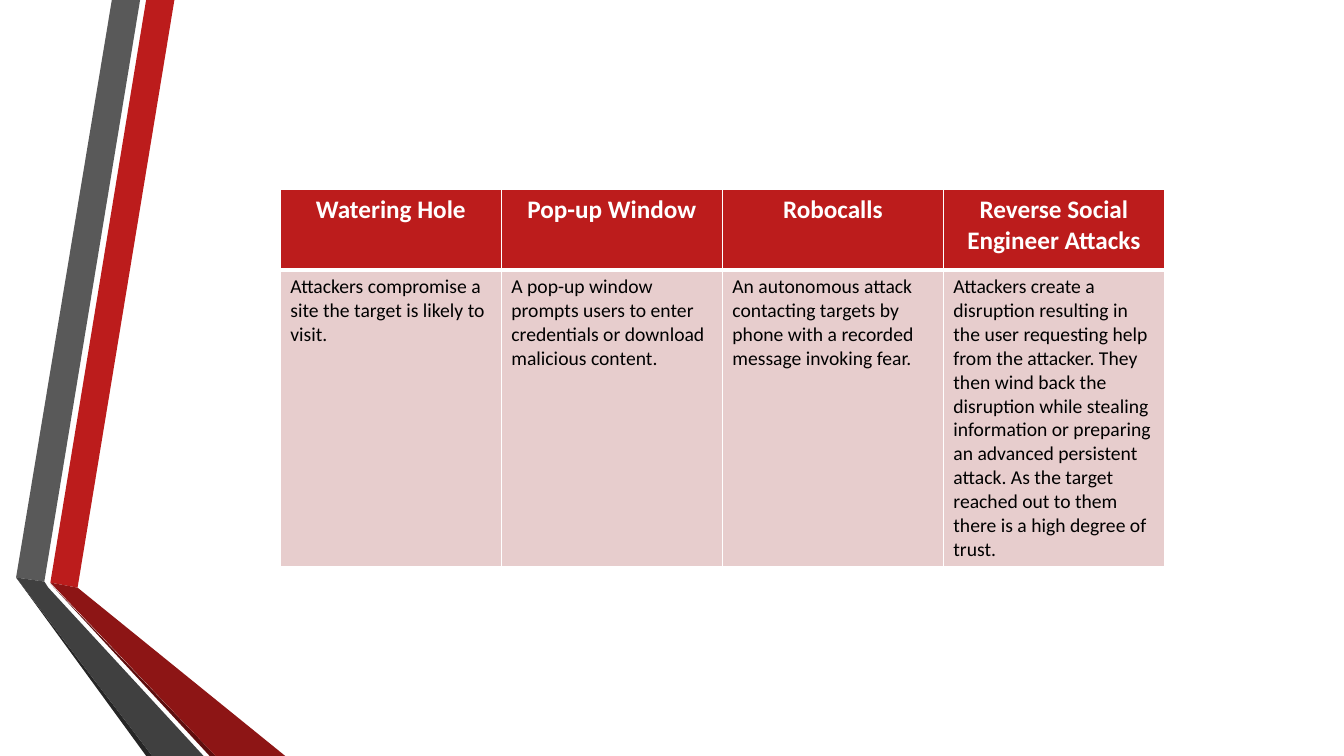
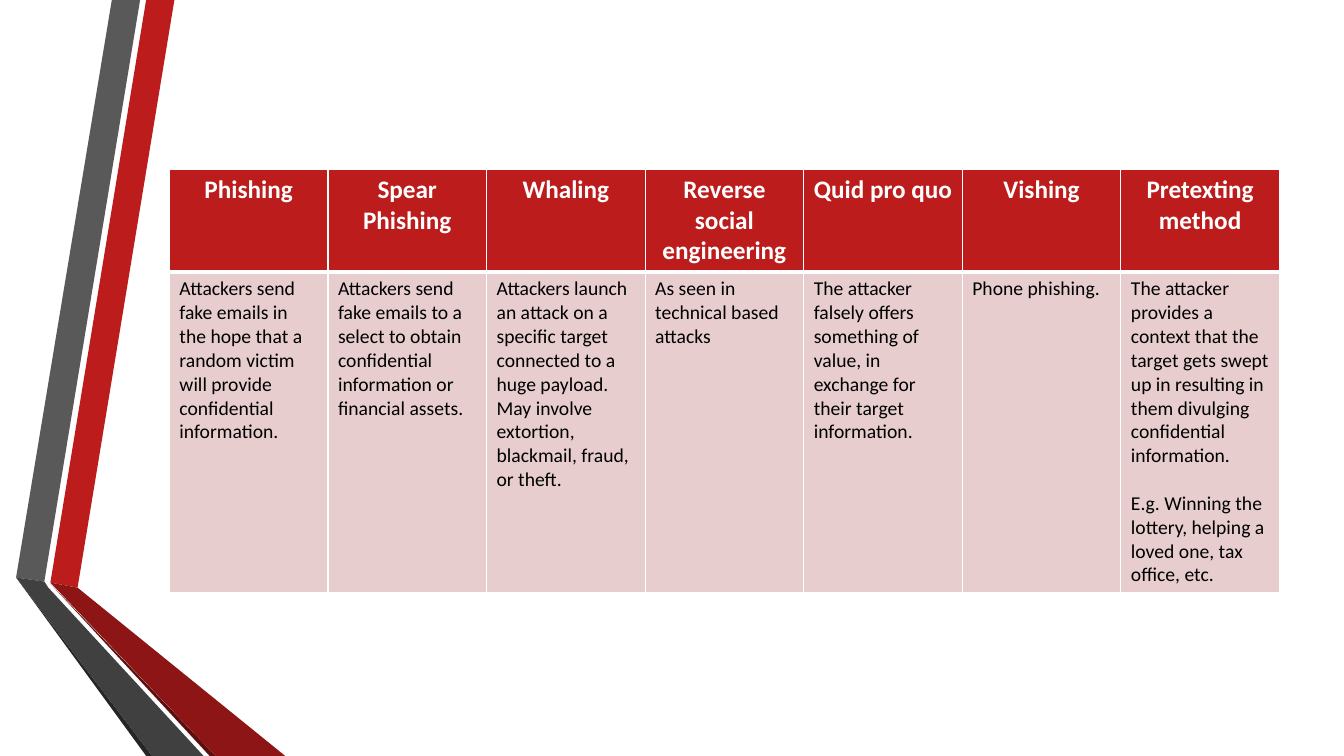
from dataclasses import dataclass

from lxml import etree
from pptx import Presentation
from pptx import util as u
from pptx.dml.color import RGBColor
from pptx.enum import text
from pptx.oxml import ns


@dataclass(frozen=True)
class Theme:
    """Colours, font and type sizes shared by the slides."""

    red: str = "BC1C1C"
    red_shade: str = "8D1515"
    red_edge: str = "5E0E0E"
    grey: str = "595959"
    grey_shade: str = "404040"
    grey_edge: str = "262626"
    pink: str = "E7CDCD"
    white: str = "FFFFFF"
    black: str = "000000"
    font: str = "Calibri"
    header_size: int = 18
    body_size: int = 14
    thin_rule: int = 1
    thick_rule: int = 3


THEME = Theme()

RIBBONS = [
    (THEME.red, [(0.5, 5.78), (0.77, 5.83), (1.73, 0), (1.45, 0)]),
    (THEME.grey, [(1.39, 0), (1.11, 0), (0.16, 5.73), (0.44, 5.77)]),
    (THEME.grey_edge, [(0.16, 5.73), (1.45, 7.5), (1.51, 7.5)]),
    (THEME.red_edge, [(0.5, 5.79), (2.08, 7.5), (2.14, 7.5)]),
    (THEME.red_shade, [(0.5, 5.78), (2.14, 7.5), (2.83, 7.5), (0.77, 5.83)]),
    (THEME.grey_shade, [(2.02, 7.5), (0.48, 5.83), (0.44, 5.77), (0.16, 5.73), (1.51, 7.5)]),
]

TECHNICAL_ATTACKS = [
    ("Watering Hole", "Attackers compromise a site the target is likely to visit."),
    ("Pop-up Window",
     "A pop-up window prompts users to enter credentials or download malicious content."),
    ("Robocalls",
     "An autonomous attack contacting targets by phone with a recorded message invoking fear."),
    ("Reverse Social Engineer Attacks",
     "Attackers create a disruption resulting in the user requesting help from the attacker. "
     "They then wind back the disruption while stealing information or preparing an advanced "
     "persistent attack. As the target reached out to them there is a high degree of trust."),
]

SOCIAL_ATTACKS = [
    ("Phishing",
     "Attackers send fake emails in the hope that a random victim will provide "
     "confidential information."),
    ("Spear Phishing",
     "Attackers send fake emails to a select to obtain confidential information or "
     "financial assets."),
    ("Whaling",
     "Attackers launch an attack on a specific target connected to a huge payload. "
     "May involve extortion, blackmail, fraud, or theft."),
    ("Reverse social engineering", "As seen in technical based attacks"),
    ("Quid pro quo",
     "The attacker falsely offers something of value, in exchange for their target information."),
    ("Vishing", "Phone phishing."),
    ("Pretexting\nmethod",
     "The attacker provides a context that the target gets swept up in resulting in them "
     "divulging confidential information.\n"
     "E.g. Winning the lottery, helping a loved one, tax office, etc."),
]


def set_fill(fill, colour):
    """Give a fill one solid colour."""
    fill.solid()
    fill.fore_color.rgb = RGBColor.from_string(colour)


def draw_ribbons(slide, left=0, top=0):
    """Draw the folded ribbons from the given corner."""
    group = slide.shapes.add_group_shape()
    for colour, points in RIBBONS:
        corners = [(u.Inches(left + x), u.Inches(top + y)) for x, y in points]
        builder = group.shapes.build_freeform(*corners[0], scale=1.0)
        builder.add_line_segments(corners[1:], close=True)
        shape = builder.convert_to_shape()
        shape.shadow.inherit = False
        set_fill(shape.fill, colour)
        shape.line.fill.background()


def set_borders(cell, top, bottom):
    """Give a cell white borders, with top and bottom widths in points."""
    properties = cell._tc.get_or_add_tcPr()
    widths = {"L": THEME.thin_rule, "R": THEME.thin_rule, "T": top, "B": bottom}
    for side, width in widths.items():
        line = etree.SubElement(properties, ns.qn(f"a:ln{side}"), w=str(u.Pt(width)))
        solid = etree.SubElement(line, ns.qn("a:solidFill"))
        etree.SubElement(solid, ns.qn("a:srgbClr"), val=THEME.white)


def fill_cell(cell, words, is_header):
    """Write and format one header or body cell."""
    thin, thick = THEME.thin_rule, THEME.thick_rule
    set_borders(cell, *((thin, thick) if is_header else (thick, thin)))
    set_fill(cell.fill, THEME.red if is_header else THEME.pink)
    cell.text_frame.text = words
    for index, paragraph in enumerate(cell.text_frame.paragraphs):
        font = paragraph.font
        font.name = THEME.font
        font.bold = is_header
        font.size = u.Pt(THEME.header_size if is_header else THEME.body_size)
        font.color.rgb = RGBColor.from_string(THEME.white if is_header else THEME.black)
        paragraph.alignment = text.PP_ALIGN.CENTER if is_header else text.PP_ALIGN.LEFT
        if index and not is_header:
            paragraph.space_before = u.Pt(17)


def add_attack_table(slide, attacks, box, header_height):
    """Place a table of attacks, one column each, in the box."""
    left, top, width, height = box
    frame = slide.shapes.add_table(2, len(attacks), *map(u.Inches, box))
    table = frame.table
    table.horz_banding = False
    table.rows[0].height = u.Inches(header_height)
    table.rows[1].height = u.Inches(height - header_height)
    for column, attack in enumerate(attacks):
        table.columns[column].width = u.Inches(width / len(attacks))
        for row, words in enumerate(attack):
            fill_cell(table.cell(row, column), words, is_header=row == 0)


def add_attack_slide(presentation, attacks, box, header_height):
    """Add a slide with the ribbons and one table."""
    slide = presentation.slides.add_slide(presentation.slide_layouts.get_by_name("Blank"))
    set_fill(slide.background.fill, THEME.white)
    draw_ribbons(slide)
    add_attack_table(slide, attacks, box, header_height)


def main():
    """Build and save the presentation."""
    presentation = Presentation()
    presentation.slide_width = u.Inches(13.33)
    presentation.slide_height = u.Inches(7.5)
    add_attack_slide(presentation, TECHNICAL_ATTACKS, (2.78, 1.88, 8.77, 3.73), 0.8)
    add_attack_slide(presentation, SOCIAL_ATTACKS, (1.68, 1.68, 11.01, 4.2), 1.02)
    presentation.save("out.pptx")


if __name__ == "__main__":
    main()
